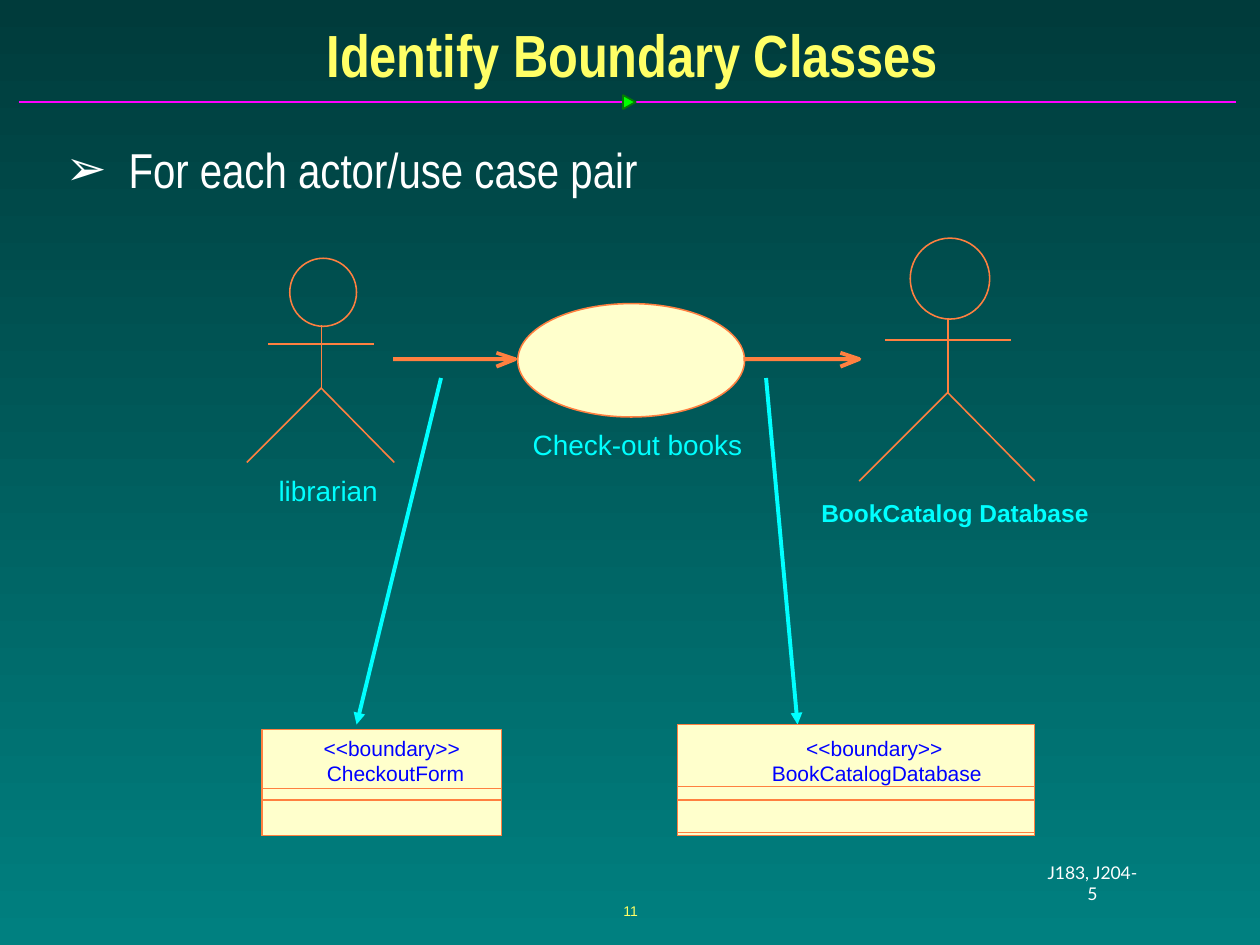
import pptx
import pptx.util
import pptx.dml.color
import pptx.enum.shapes
import pptx.enum.text
import pptx.oxml
import pptx.oxml.ns

Inches, Pt = pptx.util.Inches, pptx.util.Pt
SHAPES = pptx.enum.shapes.MSO_SHAPE
ANCHOR = pptx.enum.text.MSO_ANCHOR
ALIGN = pptx.enum.text.PP_ALIGN

CYAN, ORANGE, CREAM = "00FFFF", "FF8040", "FFFFCC"
YELLOW, WHITE, BLUE = "FFFF66", "FFFFFF", "0000FF"
THIN, THICK = 0.88, 2.25

TITLE = "Identify Boundary Classes"
BULLET = "For each actor/use case pair"

# text, (left, top, width, height), size, bold
LABELS = [
    ("librarian", (2.21, 3.76, 0.79, 0.27), 16, False),
    ("Check-out books", (4.23, 3.39, 1.66, 0.27), 16, False),
    ("BookCatalog Database", (6.52, 3.95, 2.12, 0.23), 14, True),
]
# left, top, scale
ACTORS = [(1.96, 2.05, 1), (6.82, 1.89, 1.19)]
# start x, tip x, width of the upper barb
ASSOCIATIONS = [(3.12, 4.09, 0), (5.9, 6.82, THICK)]
ASSOCIATION_Y = 2.85
# from, to
BOUNDARY_ARROWS = [((3.5, 3), (2.83, 5.75)), ((6.08, 3), (6.33, 5.75))]
# name, left, top, width, (top, height) of compartments, stereotype centre, name centre
CLASSES = [
    ("CheckoutForm", 2.08, 5.79, 1.9, [(6.26, 0.37), (6.35, 0.28)], 3.11, 3.14),
    ("BookCatalogDatabase", 5.38, 5.75, 2.83, [(6.24, 0.37), (6.35, 0.28)], 6.94, 6.96),
]
CLASS_BOTTOM = 6.63


def rgb(value):
    return pptx.dml.color.RGBColor.from_string(value)


def add_xml(parent, tag, **attributes):
    child = pptx.oxml.parse_xml(f"<a:{tag} {pptx.oxml.ns.nsdecls('a')}/>")
    for name, value in attributes.items():
        child.set(name, value)
    parent.append(child)


def style_line(shape, color, width):
    shape.line.color.rgb = rgb(color)
    shape.line.width = Pt(width)


def add_line(slide, start, end, color, width, arrow=False):
    line = slide.shapes.add_connector(
        pptx.enum.shapes.MSO_CONNECTOR.STRAIGHT, *map(Inches, start + end))
    style_line(line, color, width)
    if arrow:
        add_xml(line.line._get_or_add_ln(), "tailEnd", type="triangle")
    add_xml(line._element.spPr, "effectLst")


def add_polyline(slide, points, width):
    first, *others = [tuple(map(Inches, point)) for point in points]
    builder = slide.shapes.build_freeform(*first)
    builder.add_line_segments(others, close=False)
    shape = builder.convert_to_shape()
    shape.shadow.inherit = False
    shape.fill.background()
    style_line(shape, ORANGE, width)


def add_shape(slide, kind, area, fill=None, color=ORANGE, width=0):
    shape = slide.shapes.add_shape(kind, *map(Inches, area))
    shape.shadow.inherit = False
    if fill:
        shape.fill.solid()
        shape.fill.fore_color.rgb = rgb(fill)
    else:
        shape.fill.background()
    style_line(shape, color, width)
    return shape


def set_text(box, text, size, color, font="Arial", bold=False, align=ALIGN.CENTER,
             anchor=ANCHOR.TOP, margins=(0, 0), wrap=False):
    frame = box.text_frame
    frame.text = text
    frame.word_wrap = wrap
    frame.auto_size = pptx.enum.text.MSO_AUTO_SIZE.NONE
    frame.vertical_anchor = anchor
    frame.margin_left = frame.margin_right = Inches(margins[0])
    frame.margin_top = frame.margin_bottom = Inches(margins[1])
    para = frame.paragraphs[0]
    para.alignment = align
    span = para.runs[0].font
    span.size, span.name, span.bold = Pt(size), font, bold
    span.color.rgb = rgb(color)
    return para


def add_text(slide, text, area, size, color, **options):
    box = slide.shapes.add_textbox(*map(Inches, area))
    set_text(box, text, size, color, **options)


def place(shape, left, top, width, height):
    shape.left, shape.top = Inches(left), Inches(top)
    shape.width, shape.height = Inches(width), Inches(height)


def paint_background(slide):
    fill = slide.background.fill
    fill.gradient()
    fill.gradient_angle = 270
    for stop, color, position in zip(fill.gradient_stops, ("003B3B", "008080"), (0, 1)):
        stop.color.rgb = rgb(color)
        stop.position = position


def fill_placeholders(slide):
    title, body = slide.shapes.title, slide.placeholders[1]
    place(title, 0.1, 0.14, 9.84, 0.58)
    set_text(title, TITLE, 34, YELLOW, font="Arial Narrow", bold=True,
             anchor=ANCHOR.MIDDLE, margins=(0.1, 0.05), wrap=True)
    place(body, 0.4, 1.15, 9.29, 0.52)
    para = set_text(body, BULLET, 28, WHITE, font="Arial Narrow", align=ALIGN.LEFT,
                    margins=(0.12, 0.06), wrap=True)
    para.line_spacing = 0.77
    para.space_before = Pt(0)
    properties = para._p.get_or_add_pPr()
    properties.set("marL", str(Inches(0.5)))
    properties.set("indent", str(-Inches(0.5)))
    add_xml(properties, "buFont", typeface="Arial")
    add_xml(properties, "buChar", char="➢")


def add_actor(slide, left, top, scale):
    def at(x, y):
        return left + x * scale, top + y * scale

    add_shape(slide, SHAPES.OVAL, at(0.34, 0) + (0.53 * scale, 0.54 * scale), width=THIN)
    add_line(slide, at(0.59, 0.53), at(0.59, 1.03), ORANGE, THIN)
    add_line(slide, at(0.17, 0.68), at(1.01, 0.68), ORANGE, THIN)
    add_polyline(slide, [at(0, 1.62), at(0.59, 1.03), at(1.17, 1.62)], THIN)


def add_association(slide, start, tip, barb_width):
    y = ASSOCIATION_Y
    add_polyline(slide, [(start, y), (tip, y), (tip - 0.15, y + 0.06)], THICK)
    add_line(slide, (tip, y), (tip - 0.15, y - 0.05), ORANGE, barb_width)


def add_class(slide, name, left, top, width, compartments, stereotype_x, name_x):
    add_shape(slide, SHAPES.RECTANGLE, (left, top, width, CLASS_BOTTOM - top), CREAM)
    for part_top, height in compartments:
        add_shape(slide, SHAPES.RECTANGLE, (left, part_top, width, height))
    for text, center, text_top in (("<<boundary>>", stereotype_x, 5.84), (name, name_x, 6.04)):
        text_width = 1.09 if len(text) < 15 else 1.67
        add_text(slide, text, (center - text_width / 2, text_top, text_width, 0.2), 12, BLUE)


def main():
    deck = pptx.Presentation()
    deck.slide_width, deck.slide_height = Inches(10), Inches(7.5)
    slide = deck.slides.add_slide(deck.slide_layouts[1])
    paint_background(slide)
    fill_placeholders(slide)

    add_line(slide, (0.15, 0.81), (9.81, 0.81), "FF01FF", 1)
    marker = add_shape(slide, SHAPES.ISOSCELES_TRIANGLE, (4.94, 0.76, 0.11, 0.1),
                       "00FF00", "037C03", 1)
    marker.rotation = 90

    for start, end in BOUNDARY_ARROWS:
        add_line(slide, start, end, CYAN, THICK, arrow=True)
    for item in CLASSES:
        add_class(slide, *item)
    for item in ACTORS:
        add_actor(slide, *item)
    add_shape(slide, SHAPES.OVAL, (4.11, 2.41, 1.8, 0.9), CREAM, width=THIN)
    for item in ASSOCIATIONS:
        add_association(slide, *item)
    for text, area, size, bold in LABELS:
        add_text(slide, text, area, size, CYAN, bold=bold)

    add_text(slide, "J183, J204-5", (8.2, 6.87, 0.94, 0.27), 10, WHITE, font="Lato",
             anchor=ANCHOR.MIDDLE, margins=(0.1, 0.05), wrap=True)
    add_text(slide, "11", (3.42, 6.98, 3.17, 0.5), 8, YELLOW,
             anchor=ANCHOR.MIDDLE, margins=(0.1, 0.05))
    deck.save("out.pptx")


if __name__ == "__main__":
    main()
